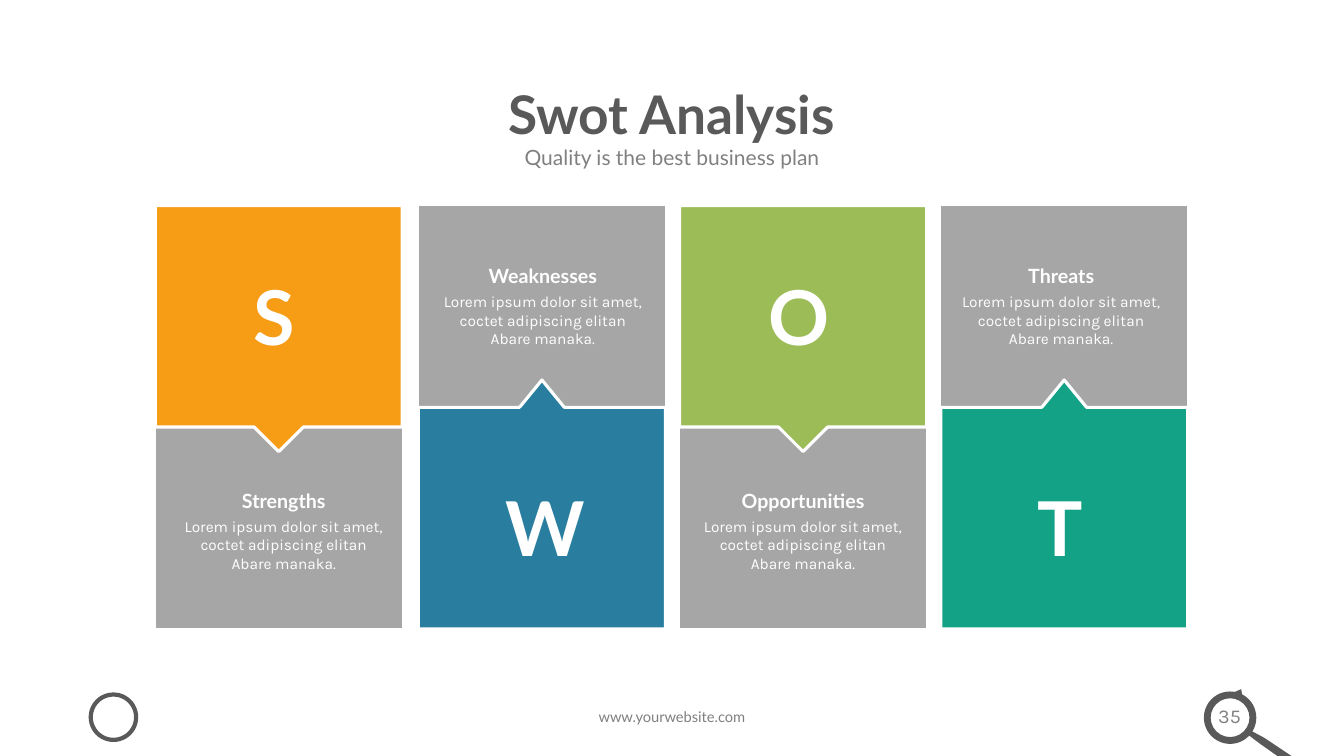
from dataclasses import dataclass

from pptx import Presentation
from pptx.dml.color import RGBColor
from pptx.enum.shapes import MSO_SHAPE as SHAPE
from pptx.enum.text import MSO_ANCHOR as ANCHOR, MSO_AUTO_SIZE as AUTO, PP_ALIGN
from pptx.util import Emu, Pt

PX = 9144  # EMU in one px, 100 px to the inch
COLORS = {
    "dark": "595959", "text": "808080", "panel": "A6A6A6", "white": "FFFFFF",
    "orange": "F69C15", "blue": "297E9F", "green": "9CBC58", "teal": "13A286",
}
FORMATS = {
    "title": {"name": "Lato", "size": Pt(38), "bold": True, "color": "dark"},
    "subtitle": {"name": "Lato", "size": Pt(15), "color": "text"},
    "site": {"name": "Lato", "size": Pt(10.5), "color": "text"},
    "number": {"name": "Karla", "size": Pt(14), "color": "text"},
    "letter": {"name": "Lato", "size": Pt(54), "bold": True, "color": "white"},
    "heading": {"name": "Lato", "size": Pt(14), "bold": True, "color": "white"},
    "body": {"name": "Karla", "size": Pt(11), "color": "white"},
}
BODY = ["Lorem ipsum dolor sit amet, coctet adipiscing elitan", "Abare manaka."]
CARD_TOP, CARD_W, PANEL_H = 204, 245, 202


@dataclass
class Card:
    letter: str
    heading: str
    color: str
    left: int
    text_left: int


@dataclass
class Layout:
    """Vertical places of a card's parts, and its callout."""
    shape: SHAPE
    adjust: tuple[float, ...]
    panel_top: int
    callout_top: int
    callout_h: int
    letter_top: int
    heading_top: int


DOWN = Layout(SHAPE.DOWN_ARROW_CALLOUT, (0.24, 0.1, 0.1, 0.9), 422, CARD_TOP, 244, 288, 485)
UP = Layout(SHAPE.UP_ARROW_CALLOUT, (0.25, 0.09, 0.11, 0.89), CARD_TOP, 377, 247, 497, 262)
CARDS = [
    Card("S", "Strengths", "orange", 154, 166),
    Card("W", "Weaknesses", "blue", 415, 423),
    Card("O", "Opportunities", "green", 674, 681),
    Card("T", "Threats", "teal", 933, 937),
]


def px(*values: int) -> list[Emu]:
    return [Emu(v * PX) for v in values]


def rgb(color: str) -> RGBColor:
    return RGBColor.from_string(COLORS[color])


def paint(sp, fill: str | None, line: str | None = None, width: float = 1) -> None:
    sp.shadow.inherit = False
    if fill:
        sp.fill.solid()
        sp.fill.fore_color.rgb = rgb(fill)
    else:
        sp.fill.background()
    if line:
        sp.line.color.rgb = rgb(line)
        sp.line.width = Pt(width)
    else:
        sp.line.fill.background()


def add_shape(slide, kind: SHAPE, box: tuple[int, ...], fill: str | None,
              line: str | None = None, width: float = 1,
              adjust: tuple[float, ...] = ()):
    sp = slide.shapes.add_shape(kind, *px(*box))
    paint(sp, fill, line, width)
    for i, value in enumerate(adjust):
        sp.adjustments[i] = value
    return sp


def add_text(slide, box: tuple[int, ...], lines: list[str], style: str,
             insets: tuple[int, ...] = (10, 5, 10, 5), middle: bool = False,
             spacing: float | None = None) -> None:
    tf = slide.shapes.add_textbox(*px(*box)).text_frame
    tf.word_wrap = True
    tf.auto_size = AUTO.NONE if middle else AUTO.SHAPE_TO_FIT_TEXT
    tf.vertical_anchor = ANCHOR.MIDDLE if middle else ANCHOR.TOP
    for side, inset in zip(("left", "top", "right", "bottom"), px(*insets)):
        setattr(tf, f"margin_{side}", inset)
    for i, line in enumerate(lines):
        p = tf.add_paragraph() if i else tf.paragraphs[0]
        p.alignment = PP_ALIGN.CENTER
        if spacing:
            p.line_spacing = spacing
        r = p.add_run()
        r.text = line
        for key, value in FORMATS[style].items():
            if key == "color":
                r.font.color.rgb = rgb(value)
            else:
                setattr(r.font, key, value)


def add_card(slide, card: Card, lay: Layout) -> None:
    add_shape(slide, SHAPE.RECTANGLE, (card.left, lay.panel_top, CARD_W, PANEL_H),
              "panel", "white")
    add_shape(slide, lay.shape, (card.left, lay.callout_top, CARD_W, lay.callout_h),
              card.color, "white", 2.25, lay.adjust)
    add_text(slide, (card.left + 86, lay.letter_top, 74, 50), [card.letter],
             "letter", (0, 0, 10, 0), middle=True)
    add_text(slide, (card.text_left, lay.heading_top, 231, 24), [card.heading],
             "heading", (0, 0, 0, 0))
    add_text(slide, (card.text_left, lay.heading_top + 28, 231, 56), BODY,
             "body", (0, 0, 0, 0))


def add_magnifier(slide) -> None:
    add_shape(slide, SHAPE.DONUT, (1194, 686, 52, 52), "dark", adjust=(0.13,))
    tip = add_shape(slide, SHAPE.RIGHT_ARROW, (1223, 683, 11, 11), "dark",
                    adjust=(0.32, 0.64))
    tip.rotation = 298.7
    handle = slide.shapes.build_freeform(1241, 725, scale=PX)
    handle.add_line_segments(
        [(1254, 732), (1281, 750), (1267, 750), (1250, 738), (1238, 729)])
    paint(handle.convert_to_shape(), "dark")


def main() -> None:
    prs = Presentation()
    prs.slide_width, prs.slide_height = px(1333, 750)
    slide = prs.slides.add_slide(prs.slide_layouts[6])

    add_text(slide, (166, 75, 1000, 82), ["Swot Analysis"], "title",
             middle=True, spacing=0.9)
    add_text(slide, (267, 136, 799, 39), ["Quality is the best business plan"],
             "subtitle", (13, 7, 13, 7))
    for i, card in enumerate(CARDS):
        add_card(slide, card, UP if i % 2 else DOWN)

    add_shape(slide, SHAPE.OVAL, (90, 689, 45, 45), None, "dark", 3)
    add_text(slide, (425, 697, 483, 29), ["www.yourwebsite.com"], "site")
    add_magnifier(slide)
    add_text(slide, (1189, 693, 61, 34), ["35"], "number")
    prs.save("out.pptx")


if __name__ == "__main__":
    main()
